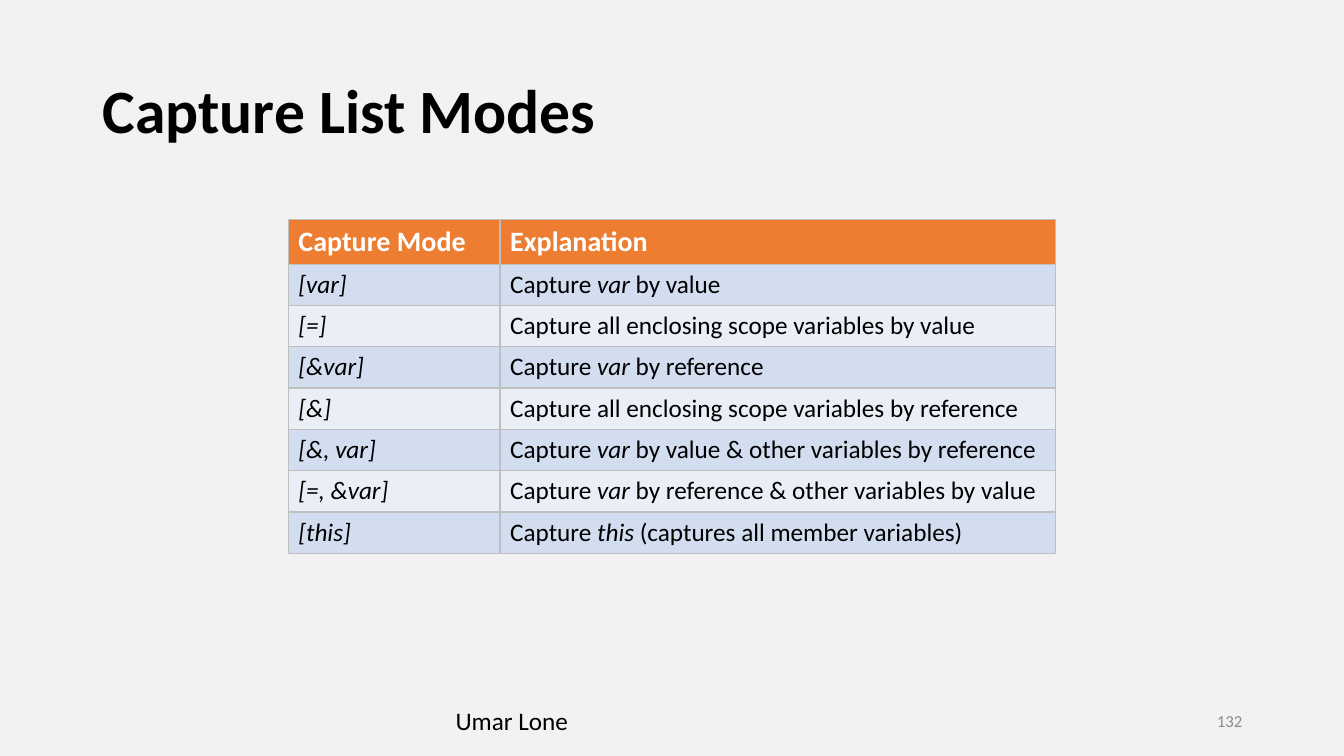
from dataclasses import dataclass

from lxml import etree
from pptx import Presentation
from pptx.dml.color import RGBColor
from pptx.enum.text import MSO_ANCHOR as Anchor, PP_ALIGN as Align
from pptx.oxml.ns import qn
from pptx.util import Inches, Pt


@dataclass(frozen=True)
class Theme:
    font: str = "Calibri"
    background: str = "F2F2F2"
    text: str = "000000"
    muted: str = "8C8C8C"
    header_fill: str = "ED7D31"
    header_text: str = "FFFFFF"
    bands: tuple = ("D2DEEF", "EAEFF7")
    border: str = "BFBFBF"
    title_size: int = 44
    header_size: int = 20
    body_size: int = 18
    number_size: int = 12


theme = Theme()


def write(frame, text, size=theme.body_size, color=theme.text, bold=False,
          align=Align.LEFT, anchor=Anchor.TOP, line_spacing=None):
    """Write one paragraph; words between asterisks become italic."""
    frame.word_wrap = True
    frame.vertical_anchor = anchor
    paragraph = frame.paragraphs[0]
    paragraph.alignment = align
    if line_spacing:
        paragraph.line_spacing = line_spacing
    for index, part in enumerate(text.split("*")):
        if not part:
            continue
        run = paragraph.add_run()
        run.text = part
        run.font.name = theme.font
        run.font.size = Pt(size)
        run.font.bold = bold
        run.font.italic = index % 2 == 1
        run.font.color.rgb = RGBColor.from_string(color)


def style_cell(cell, fill):
    """Give a cell its four borders, then its fill."""
    properties = cell._tc.get_or_add_tcPr()
    for side in ("lnL", "lnR", "lnT", "lnB"):
        line = etree.SubElement(properties, qn(f"a:{side}"), w=str(Pt(1)))
        solid = etree.SubElement(line, qn("a:solidFill"))
        etree.SubElement(solid, qn("a:srgbClr"), val=theme.border)
    cell.fill.solid()
    cell.fill.fore_color.rgb = RGBColor.from_string(fill)


presentation = Presentation()
presentation.slide_width = Inches(13.33)
presentation.slide_height = Inches(7.5)
slide = presentation.slides.add_slide(presentation.slide_layouts[5])
slide.background.fill.solid()
slide.background.fill.fore_color.rgb = RGBColor.from_string(theme.background)

title = slide.shapes.title
title.left, title.top = Inches(0.92), Inches(0.4)
title.width, title.height = Inches(11.5), Inches(1.45)
write(title.text_frame, "Capture List Modes", size=theme.title_size, bold=True,
      anchor=Anchor.MIDDLE, line_spacing=0.9)

rows = [
    ("Capture Mode", "Explanation"),
    ("*[var]*", "Capture *var* by value"),
    ("*[=]*", "Capture all enclosing scope variables by value"),
    ("*[&var]*", "Capture *var* by reference"),
    ("*[&]*", "Capture all enclosing scope variables by reference"),
    ("*[&, var]*", "Capture *var* by value & other variables by reference"),
    ("*[=, &var]*", "Capture *var* by reference & other variables by value"),
    ("*[this]*", "Capture *this* (captures all member variables)"),
]
column_widths = (2.1, 5.51)
row_height = 0.41
table = slide.shapes.add_table(
    len(rows), len(column_widths), Inches(2.86), Inches(2.18),
    Inches(sum(column_widths)), Inches(row_height * len(rows))).table
for column, width in zip(table.columns, column_widths):
    column.width = Inches(width)
for row_index, row in enumerate(rows):
    table.rows[row_index].height = Inches(row_height)
    for column_index, text in enumerate(row):
        cell = table.cell(row_index, column_index)
        if row_index == 0:
            style_cell(cell, theme.header_fill)
            write(cell.text_frame, text, size=theme.header_size,
                  color=theme.header_text, bold=True)
        else:
            style_cell(cell, theme.bands[(row_index - 1) % 2])
            write(cell.text_frame, text)

footer_top, footer_height = Inches(6.95), Inches(0.4)
author = slide.shapes.add_textbox(Inches(4.42), footer_top, Inches(4.5), footer_height)
write(author.text_frame, "Umar Lone")
number = slide.shapes.add_textbox(Inches(9.42), footer_top, Inches(3), footer_height)
write(number.text_frame, "132", size=theme.number_size, color=theme.muted,
      align=Align.RIGHT, anchor=Anchor.MIDDLE)

presentation.save("out.pptx")
